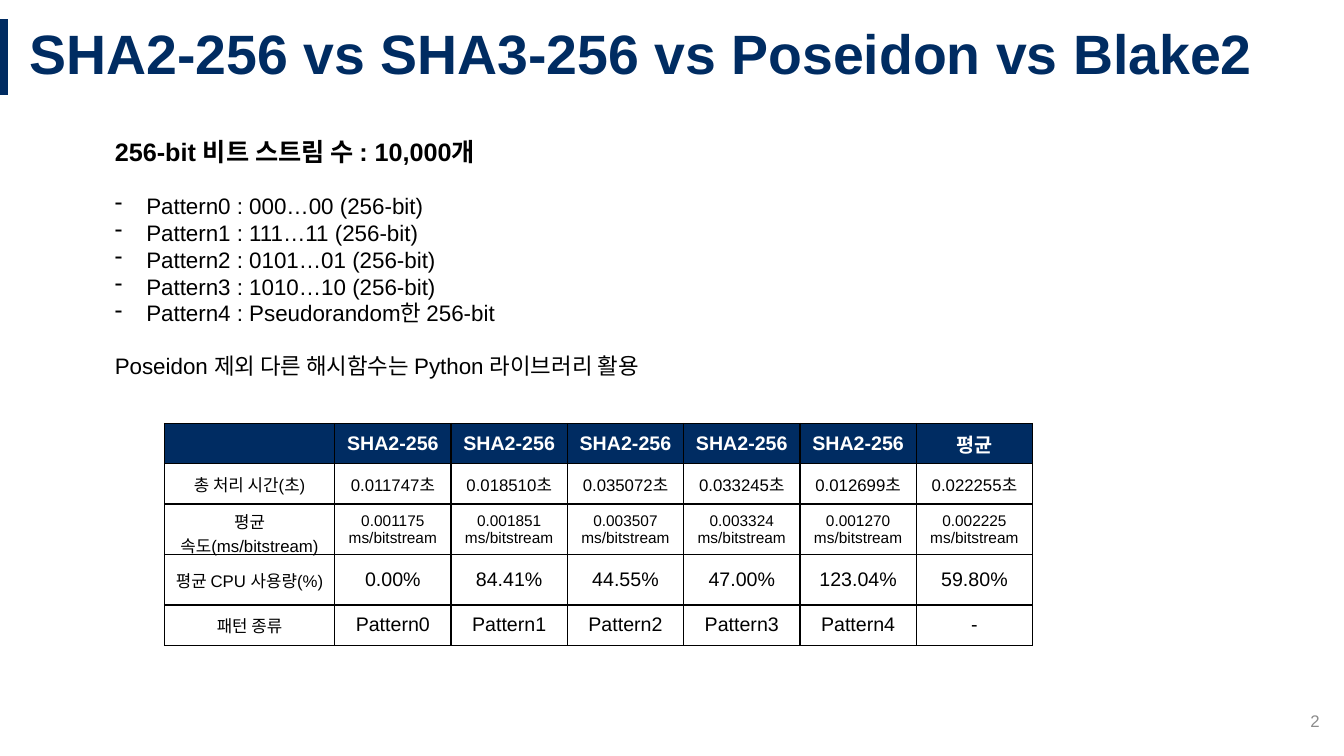
from lxml import etree
from pptx import Presentation
from pptx import util as u
from pptx.dml.color import RGBColor
from pptx.enum import shapes, text
from pptx.oxml import ns

COLORS = {"navy": "002C62", "black": "000000", "white": "FFFFFF", "grey": "8C8C8C"}
FONT = "Arial"
LEFT, CENTER, RIGHT = text.PP_ALIGN.LEFT, text.PP_ALIGN.CENTER, text.PP_ALIGN.RIGHT


class SlideBuilder:
    """Holds the style and the current slide."""

    def __init__(self, slide):
        self.slide = slide

    def rgb(self, color):
        return RGBColor.from_string(COLORS[color])

    def style(self, paragraph, size, color="black", bold=False, align=LEFT):
        paragraph.alignment = align
        for run in paragraph.runs:
            run.font.name = FONT
            run.font.size = u.Pt(size)
            run.font.bold = bold
            run.font.color.rgb = self.rgb(color)

    def title(self, words, left, top, width, height):
        heading = self.slide.shapes.title
        heading.left, heading.top = u.Pt(left), u.Pt(top)
        heading.width, heading.height = u.Pt(width), u.Pt(height)
        frame = heading.text_frame
        frame.text = words
        frame.auto_size = text.MSO_AUTO_SIZE.NONE
        frame.vertical_anchor = text.MSO_ANCHOR.MIDDLE
        frame.paragraphs[0].line_spacing = 0.9
        self.style(frame.paragraphs[0], 39.6, "navy", True)

    def line(self, x1, y1, x2, y2, color, weight):
        rule = self.slide.shapes.add_connector(
            shapes.MSO_CONNECTOR.STRAIGHT, u.Pt(x1), u.Pt(y1), u.Pt(x2), u.Pt(y2))
        rule.line.color.rgb = self.rgb(color)
        rule.line.width = u.Pt(weight)
        etree.SubElement(rule._element.spPr, ns.qn("a:effectLst"))

    def textbox(self, left, top, width, height, anchor=text.MSO_ANCHOR.TOP):
        box = self.slide.shapes.add_textbox(u.Pt(left), u.Pt(top), u.Pt(width), u.Pt(height))
        box.text_frame.word_wrap = True
        box.text_frame.vertical_anchor = anchor
        return box.text_frame

    def dash(self, paragraph, indent):
        props = paragraph._p.get_or_add_pPr()
        props.set("marL", str(u.Pt(indent)))
        props.set("indent", str(-u.Pt(indent)))
        etree.SubElement(props, ns.qn("a:buChar")).set("char", "-")

    def cell(self, cell, words, size, color="black", bold=False, fill=None):
        cell.text = words
        cell.vertical_anchor = text.MSO_ANCHOR.MIDDLE
        for paragraph in cell.text_frame.paragraphs:
            self.style(paragraph, size, color, bold, CENTER)
        props = cell._tc.get_or_add_tcPr()
        for side in ("lnL", "lnR", "lnT", "lnB"):
            border = etree.SubElement(props, ns.qn(f"a:{side}"), w=str(u.Pt(1)))
            paint = etree.SubElement(border, ns.qn("a:solidFill"))
            etree.SubElement(paint, ns.qn("a:srgbClr"), val=COLORS["black"])
        if fill:
            cell.fill.solid()
            cell.fill.fore_color.rgb = self.rgb(fill)
        else:
            cell.fill.background()

    def table(self, left, top, widths, row_height, header, rows):
        frame = self.slide.shapes.add_table(
            len(rows) + 1, len(widths), u.Pt(left), u.Pt(top),
            u.Pt(sum(widths)), u.Pt(row_height * (len(rows) + 1)))
        grid = frame.table
        grid.horz_banding = False
        for column, width in zip(grid.columns, widths):
            column.width = u.Pt(width)
        for c, heading in enumerate(header):
            self.cell(grid.cell(0, c), heading, 14, "white", True, "navy")
        for r, (label, size, values) in enumerate(rows, 1):
            self.cell(grid.cell(r, 0), label, 12)
            for c, value in enumerate(values, 1):
                self.cell(grid.cell(r, c), value, size)


def main():
    deck = Presentation()
    deck.slide_width, deck.slide_height = u.Pt(960), u.Pt(540)
    page = SlideBuilder(deck.slides.add_slide(deck.slide_layouts[5]))

    # Title with accent bar
    page.line(2.9, 13.7, 2.9, 67.7, "navy", 6)
    page.title("SHA2-256 vs SHA3-256 vs Poseidon vs Blake2", 13.7, 13.7, 946.3, 54)

    # Page number
    number = page.textbox(733.7, 500.4, 216, 28.8, text.MSO_ANCHOR.MIDDLE)
    number.text = "2"
    page.style(number.paragraphs[0], 12, "grey", align=RIGHT)

    # Test conditions
    patterns = ["000…00 (256-bit)", "111…11 (256-bit)", "0101…01 (256-bit)",
                "1010…10 (256-bit)", "Pseudorandom한 256-bit"]
    conditions = page.textbox(74.9, 93.6, 658.8, 184.3)
    conditions.text = "256-bit 비트 스트림 수 : 10,000개"
    page.style(conditions.paragraphs[0], 18, bold=True)
    for i, pattern in enumerate(patterns):
        item = conditions.add_paragraph()
        item.text = f"Pattern{i} : {pattern}"
        if i == 0:
            item.space_before = u.Pt(18.5)
        page.dash(item, 22.5)
        page.style(item, 16)
    remark = conditions.add_paragraph()
    remark.text = "Poseidon 제외 다른 해시함수는 Python 라이브러리 활용"
    remark.space_before = u.Pt(18.5)
    page.style(remark, 16)

    # Results per pattern
    times = ["0.011747", "0.018510", "0.035072", "0.033245", "0.012699", "0.022255"]
    speeds = ["0.001175", "0.001851", "0.003507", "0.003324", "0.001270", "0.002225"]
    loads = ["0.00", "84.41", "44.55", "47.00", "123.04", "59.80"]
    results = [
        ("총 처리 시간(초)", 12, [f"{time}초" for time in times]),
        ("평균 속도(ms/bitstream)", 11, [f"{speed}\nms/bitstream" for speed in speeds]),
        ("평균 CPU 사용량(%)", 14, [f"{load}%" for load in loads]),
        ("패턴 종류", 14, [f"Pattern{i}" for i in range(len(patterns))] + ["-"]),
    ]
    page.table(117.4, 302.4, [121.7] + [83.1] * 6, 28.8,
               [""] + ["SHA2-256"] * 5 + ["평균"], results)

    deck.save("out.pptx")


if __name__ == "__main__":
    main()
